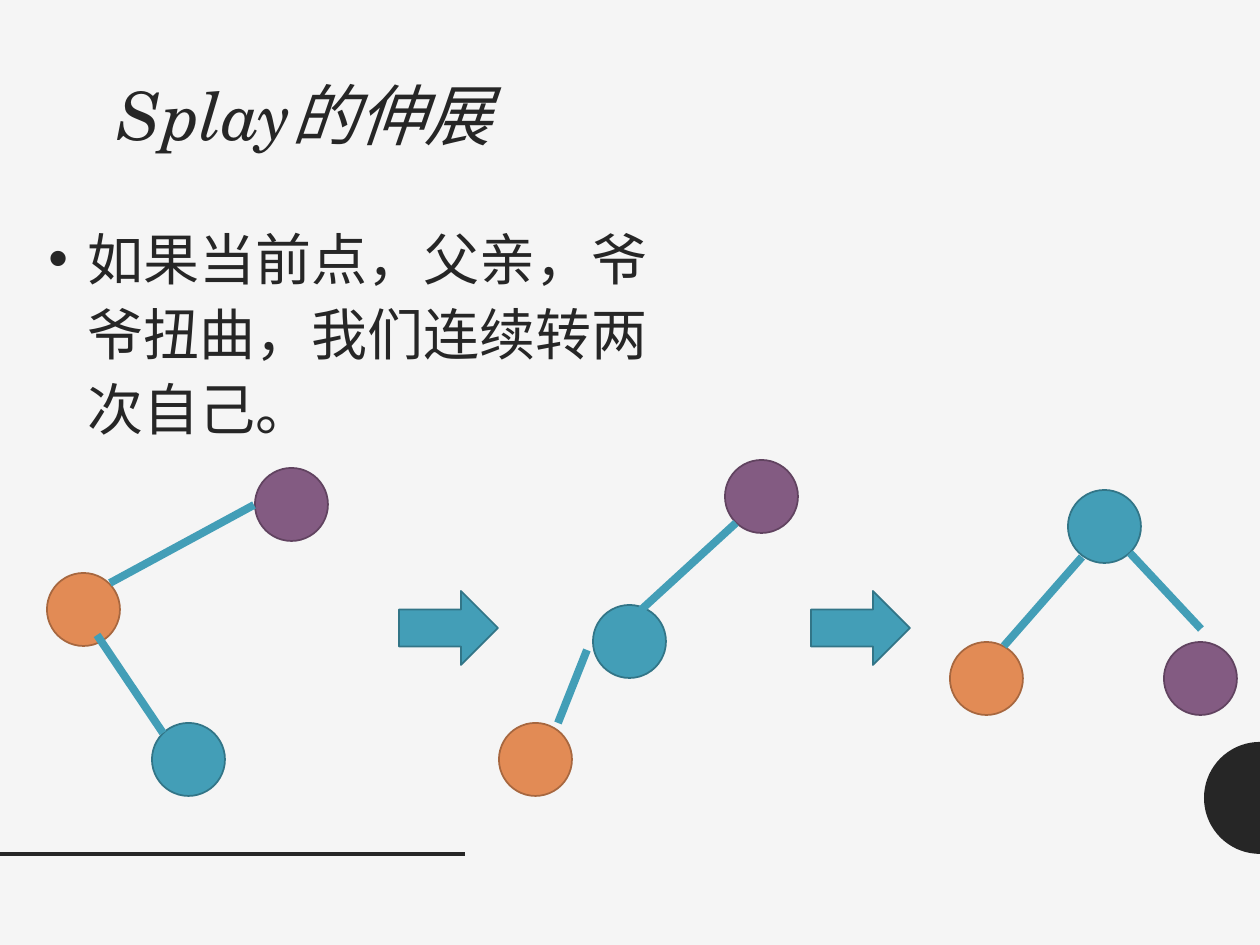
import math

import lxml.etree
import pptx
import pptx.dml.color
import pptx.enum.shapes
import pptx.enum.text
import pptx.oxml.ns
import pptx.util

EMU_PER_PX = 914400 // 126
WIDTH, HEIGHT = 1260, 945
NODE_SIZE = 73
ARROW_SIZE = (99, 74)
EDGE_WIDTH = 4.5
CJK_FONT = "Noto Sans CJK SC"
TITLE_FONT = "TeX Gyre Schola"

TITLE = "Splay的伸展"
BODY = "如果当前点，父亲，爷爷扭曲，我们连续转两次自己。"

COLORS = {
    "background": "F5F5F5",
    "ink": "262626",
    "current": "439EB7",
    "current line": "327587",
    "parent": "E28B55",
    "parent line": "A7673F",
    "grandparent": "835B82",
    "grandparent line": "614360",
}

TREES = [
    {
        "nodes": {"current": (152, 723), "parent": (47, 573), "grandparent": (255, 468)},
        "edges": [((254, 505), (110, 583)), ((97, 635), (163, 733))],
    },
    {
        "nodes": {"current": (593, 605), "parent": (499, 723), "grandparent": (725, 460)},
        "edges": [((736, 523), (641, 610)), ((587, 650), (558, 723))],
    },
    {
        "nodes": {"current": (1068, 490), "parent": (950, 642), "grandparent": (1164, 642)},
        "edges": [((1082, 557), (1004, 646)), ((1130, 553), (1201, 629))],
    },
]
ARROWS = [(399, 591), (811, 591)]
RULE = ((0, 854), (465, 854))
HALF_DISC = {"center": (WIDTH, 798), "radius": 56}


def px(*lengths):
    return [pptx.util.Emu(round(length * EMU_PER_PX)) for length in lengths]


def color(name):
    return pptx.dml.color.RGBColor.from_string(COLORS[name])


def write_text(shape, text, size, font, italic=False, align="LEFT", spacing=1.0, bullet_indent=0):
    frame = shape.text_frame
    frame.word_wrap = True
    frame.auto_size = pptx.enum.text.MSO_AUTO_SIZE.NONE
    frame.vertical_anchor = pptx.enum.text.MSO_ANCHOR.TOP
    paragraph = frame.paragraphs[0]
    paragraph.alignment = getattr(pptx.enum.text.PP_ALIGN, align)
    paragraph.line_spacing = spacing
    run = paragraph.add_run()
    run.text = text
    run.font.size = pptx.util.Pt(size)
    run.font.name = font
    run.font.italic = italic
    run.font.color.rgb = color("ink")
    east_asian = lxml.etree.SubElement(run.font._element, pptx.oxml.ns.qn("a:ea"))
    east_asian.set("typeface", CJK_FONT)
    if bullet_indent:
        indent = px(bullet_indent)[0]
        properties = paragraph._p.get_or_add_pPr()
        properties.set("marL", str(indent))
        properties.set("indent", str(-indent))
        bullet_font = lxml.etree.SubElement(properties, pptx.oxml.ns.qn("a:buFont"))
        bullet_font.set("typeface", "Arial")
        bullet = lxml.etree.SubElement(properties, pptx.oxml.ns.qn("a:buChar"))
        bullet.set("char", "•")


def paint(shape, fill, line=None):
    shape.shadow.inherit = False
    shape.fill.solid()
    shape.fill.fore_color.rgb = color(fill)
    if line:
        shape.line.color.rgb = color(line)
        shape.line.width = pptx.util.Pt(1)
    else:
        shape.line.fill.background()


def add_preset(slide, kind, position, size, role):
    shape_type = getattr(pptx.enum.shapes.MSO_SHAPE, kind)
    shape = slide.shapes.add_shape(shape_type, *px(*position, *size))
    paint(shape, role, f"{role} line")


def add_line(slide, start, end, role, width):
    line = slide.shapes.add_connector(
        pptx.enum.shapes.MSO_CONNECTOR.STRAIGHT, *px(*start, *end)
    )
    line.line.color.rgb = color(role)
    line.line.width = pptx.util.Pt(width)
    lxml.etree.SubElement(line._element.spPr, pptx.oxml.ns.qn("a:effectLst"))


def add_half_disc(slide, center, radius):
    points = []
    for degrees in range(90, 271, 5):
        angle = math.radians(degrees)
        points.append(px(center[0] + radius * math.cos(angle),
                         center[1] + radius * math.sin(angle)))
    builder = slide.shapes.build_freeform(*points[0])
    builder.add_line_segments(points[1:], close=True)
    paint(builder.convert_to_shape(), "ink")


def main():
    presentation = pptx.Presentation()
    presentation.slide_width, presentation.slide_height = px(WIDTH, HEIGHT)
    slide = presentation.slides.add_slide(presentation.slide_layouts[5])
    slide.background.fill.solid()
    slide.background.fill.fore_color.rgb = color("background")

    add_half_disc(slide, **HALF_DISC)
    add_line(slide, *RULE, "ink", 2)

    title = slide.shapes.title
    title.left, title.top, title.width, title.height = px(78, 77, 426, 683)
    write_text(title, TITLE, size=38, font=TITLE_FONT, italic=True, align="RIGHT", spacing=0.9)

    body = slide.shapes.add_textbox(*px(36, 210, 645, 515))
    write_text(body, BODY, size=32, font=CJK_FONT, spacing=1.12, bullet_indent=39)

    for tree in TREES:
        for role, position in tree["nodes"].items():
            add_preset(slide, "OVAL", position, (NODE_SIZE, NODE_SIZE), role)
    for position in ARROWS:
        add_preset(slide, "RIGHT_ARROW", position, ARROW_SIZE, "current")
    for tree in TREES:
        for start, end in tree["edges"]:
            add_line(slide, start, end, "current", EDGE_WIDTH)

    presentation.save("out.pptx")


if __name__ == "__main__":
    main()
